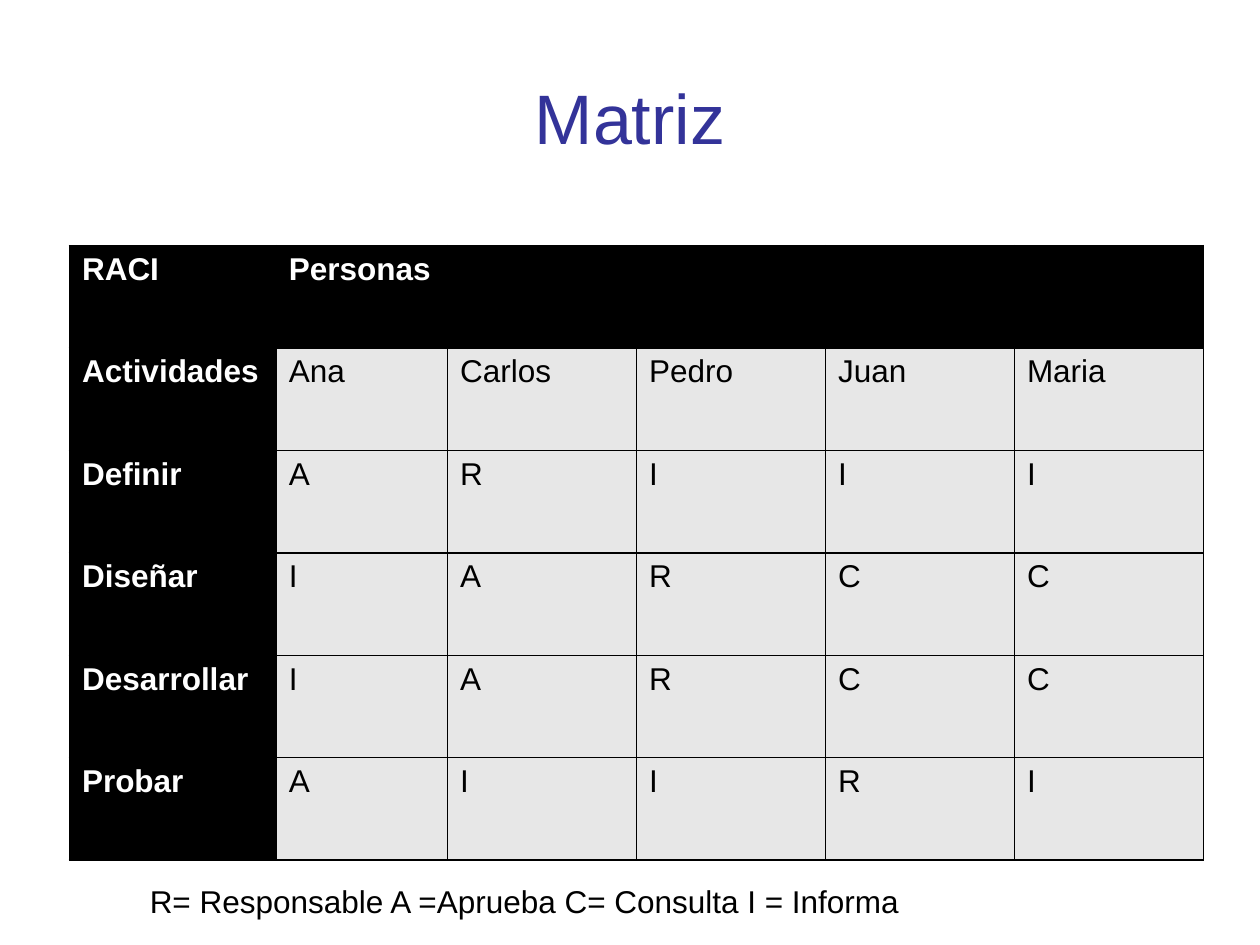
import pptx
import pptx.dml.color
import pptx.enum.text
import pptx.oxml
import pptx.oxml.ns
import pptx.util
from pptx.util import Cm

BLACK, WHITE, GREY, BLUE = "000000", "FFFFFF", "E7E7E7", "333399"


def rgb(value):
    """Turn a hex string into a colour."""
    return pptx.dml.color.RGBColor.from_string(value)


def write(frame, text, color, **formats):
    """Put one formatted span of text into a text frame."""
    span = frame.paragraphs[0].add_run()
    span.text = text
    span.font.color.rgb = rgb(color)
    values = {"name": "Arial", "size": pptx.util.Pt(18), "bold": False} | formats
    for name, value in values.items():
        setattr(span.font, name, value)


deck = pptx.Presentation()
deck.slide_width, deck.slide_height = Cm(25.4), Cm(19.05)
page = deck.slides.add_slide(deck.slide_layouts[5])

# Title
title = page.shapes.title
title_place = {"left": Cm(1.27), "top": Cm(0.76), "width": Cm(22.86), "height": Cm(3.18)}
for name, value in title_place.items():
    setattr(title, name, value)
title.text_frame.vertical_anchor = pptx.enum.text.MSO_ANCHOR.MIDDLE
title.text_frame.paragraphs[0].alignment = pptx.enum.text.PP_ALIGN.CENTER
write(title.text_frame, "Matriz", BLUE, size=pptx.util.Pt(40))

# RACI matrix: the first row and the first column are headings
matrix = [
    ["RACI", "Personas", "", "", "", ""],
    ["Actividades", "Ana", "Carlos", "Pedro", "Juan", "Maria"],
    ["Definir", *"ARIII"],
    ["Diseñar", *"IARCC"],
    ["Desarrollar", *"IARCC"],
    ["Probar", *"AIIRI"],
]
column_widths = [4.17, 3.45] + [3.81] * 4
row_height = 2.065
table = page.shapes.add_table(
    len(matrix), len(column_widths), Cm(1.4), Cm(4.95),
    Cm(sum(column_widths)), Cm(row_height * len(matrix))).table
for column, width in zip(table.columns, column_widths):
    column.width = Cm(width)

for row_index, labels in enumerate(matrix):
    table.rows[row_index].height = Cm(row_height)
    for column_index, label in enumerate(labels):
        heading = row_index == 0 or column_index == 0
        cell = table.cell(row_index, column_index)
        if label:
            write(cell.text_frame, label, WHITE if heading else BLACK, bold=heading)
        cell.fill.solid()
        cell.fill.fore_color.rgb = rgb(BLACK if heading else GREY)
        # Borders come before the fill in the cell properties
        properties = cell._tc.get_or_add_tcPr()
        for position, side in enumerate(("lnL", "lnR", "lnT", "lnB")):
            properties.insert(position, pptx.oxml.parse_xml(
                f'<a:{side} {pptx.oxml.ns.nsdecls("a")} w="12700"><a:solidFill>'
                f'<a:srgbClr val="{BLACK}"/></a:solidFill></a:{side}>'))

# Legend
legend = page.shapes.add_textbox(Cm(2.77), Cm(17.65), Cm(15.93), Cm(1.02)).text_frame
legend.word_wrap = False
legend.auto_size = pptx.enum.text.MSO_AUTO_SIZE.SHAPE_TO_FIT_TEXT
write(legend, "R= Responsable A =Aprueba C= Consulta I = Informa", BLACK)

deck.save("out.pptx")
